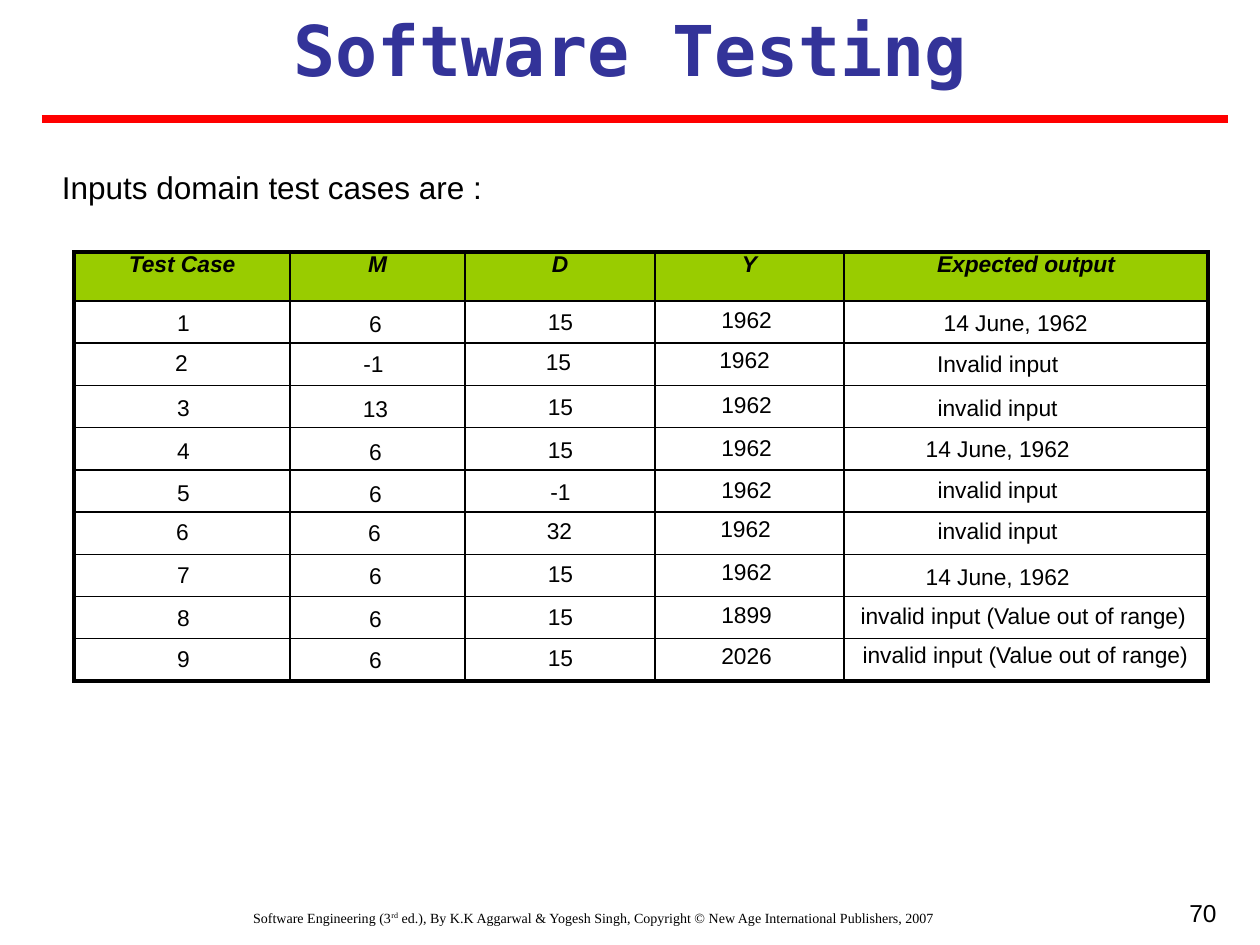
from dataclasses import dataclass

from lxml import etree
from pptx import Presentation
from pptx.dml.color import RGBColor
from pptx.enum.shapes import MSO_CONNECTOR
from pptx.enum.text import MSO_ANCHOR, MSO_AUTO_SIZE, PP_ALIGN
from pptx.oxml.ns import qn
from pptx.util import Emu, Pt

SCALE = 914400 / 126
LEFT, MID, RIGHT, FULL = (
    PP_ALIGN.LEFT, PP_ALIGN.CENTER, PP_ALIGN.RIGHT, PP_ALIGN.JUSTIFY)
TOP, LOW = MSO_ANCHOR.TOP, MSO_ANCHOR.BOTTOM
FIT = MSO_AUTO_SIZE.SHAPE_TO_FIT_TEXT
STRAIGHT = MSO_CONNECTOR.STRAIGHT

HEX = {"ink": "000000", "title": "333399", "rule": "FF0000", "head": "99CC00"}
SANS, MONO, SERIF = "Arial", "DejaVu Sans Mono", "Times New Roman"


@dataclass(frozen=True)
class Style:
    size: int
    face: str = SANS
    color: str = "ink"
    bold: bool = False
    slant: bool = False


@dataclass(frozen=True)
class Box:
    x: int
    y: int
    w: int
    h: int


@dataclass(frozen=True)
class Case:
    """Input values of one test and the top of its row of labels."""
    y: int
    shift: int
    values: tuple[str, ...]


@dataclass(frozen=True)
class Result:
    box: Box
    text: str


BODY = Style(13)
HEAD = Style(13, bold=True, slant=True)
LINE = 28

HEADS = ("Test Case", "M", "D", "Y", "Expected output")
WIDTHS = (216, 175, 190, 189, 364)
HEAD_H, ROWS_H = 49, 380

# Left edge and vertical offset of the labels in each input column
LANES = ((136, 0), (328, 1), (513, -1), (699, -3))
CASES = (
    Case(309, 0, ("1", "6", "15", "1962")),
    Case(349, -2, ("2", "-1", "15", "1962")),
    Case(394, 0, ("3", "13", "15", "1962")),
    Case(437, 0, ("4", "6", "15", "1962")),
    Case(479, 0, ("5", "6", "-1", "1962")),
    Case(518, -1, ("6", "6", "32", "1962")),
    Case(561, 0, ("7", "6", "15", "1962")),
    Case(604, 0, ("8", "6", "15", "1899")),
    Case(645, 0, ("9", "6", "15", "2026")),
)
RESULTS = (
    Result(Box(868, 309, 295, LINE), "14 June, 1962"),
    Result(Box(882, 350, 231, LINE), "Invalid input"),
    Result(Box(882, 394, 231, LINE), "invalid input"),
    Result(Box(882, 435, 231, LINE), "14 June, 1962"),
    Result(Box(882, 476, 231, LINE), "invalid input"),
    Result(Box(882, 517, 231, LINE), "invalid input"),
    Result(Box(882, 563, 231, LINE), "14 June, 1962"),
    Result(Box(850, 602, 346, LINE), "invalid input (Value out of range)"),
    Result(Box(853, 641, 344, LINE), "invalid input (Value out of range)"),
)


def px(n: int) -> Emu:
    return Emu(round(n * SCALE))


def tint(name: str) -> RGBColor:
    return RGBColor.from_string(HEX[name])


def write(para, text: str, style: Style, lift: int = 0) -> None:
    """Add one run; lift is its superscript height in percent."""
    run = para.add_run()
    run.text = text
    font = run.font
    font.size, font.name = Pt(style.size), style.face
    font.bold, font.italic = style.bold, style.slant
    font.color.rgb = tint(style.color)
    if lift:
        run._r.get_or_add_rPr().set("baseline", str(lift * 1000))


def frame(slide, box: Box, align, bare: bool = False, anchor=TOP):
    """Add a text box and return its paragraph; bare means no insets."""
    shape = slide.shapes.add_textbox(px(box.x), px(box.y), px(box.w), px(box.h))
    body = shape.text_frame
    body.word_wrap = True
    body.vertical_anchor = anchor
    if bare:
        body.margin_left = body.margin_right = 0
        body.margin_top = body.margin_bottom = 0
        body.auto_size = FIT
    para = body.paragraphs[0]
    para.alignment = align
    return para


def label(slide, box: Box, text: str) -> None:
    write(frame(slide, box, MID, bare=True), text, BODY)


def edge(cell, side: str, width: float) -> None:
    line = etree.Element(qn(f"a:ln{side}"), w=str(Pt(width)))
    fill = etree.SubElement(line, qn("a:solidFill"))
    etree.SubElement(fill, qn("a:srgbClr"), val=HEX["ink"])
    props = cell._tc.get_or_add_tcPr()
    props.insert("LRTB".index(side), line)


def grid(slide) -> None:
    count = len(CASES)
    shape = slide.shapes.add_table(
        count + 1, len(HEADS), px(74), px(252),
        px(sum(WIDTHS)), px(HEAD_H + ROWS_H))
    table = shape.table
    table.first_row = table.horz_banding = False
    for col, width in zip(table.columns, WIDTHS):
        col.width = px(width)
    for r, row in enumerate(table.rows):
        row.height = px(ROWS_H / count if r else HEAD_H)
        for c, cell in enumerate(row.cells):
            cell.margin_top = cell.margin_bottom = 0
            if r:
                cell.fill.background()
            else:
                cell.fill.solid()
                cell.fill.fore_color.rgb = tint("head")
                para = cell.text_frame.paragraphs[0]
                para.alignment = MID
                write(para, HEADS[c], HEAD)
            outer = {"L": c == 0, "R": c == len(HEADS) - 1,
                     "T": r == 0, "B": r == count}
            for side, rim in outer.items():
                edge(cell, side, 2.25 if rim else 1)


def rule(slide) -> None:
    line = slide.shapes.add_connector(
        STRAIGHT, px(42), px(119), px(1228), px(119))
    line.line.color.rgb = tint("rule")
    line.line.width = Pt(4.5)
    etree.SubElement(line._element.spPr, qn("a:effectLst"))


def main() -> None:
    deck = Presentation()
    deck.slide_width, deck.slide_height = px(1260), px(945)
    slide = deck.slides.add_slide(deck.slide_layouts[6])

    foot = frame(slide, Box(32, 903, 1124, 42), MID)
    small = Style(8, SERIF)
    write(foot, "Software Engineering (3", small)
    write(foot, "rd", small, lift=30)
    write(foot, " ed.), By K.K Aggarwal & Yogesh Singh, Copyright © "
          "New Age International Publishers, 2007", small)
    write(frame(slide, Box(935, 892, 294, 74), RIGHT), "70", Style(14))

    title = frame(slide, Box(42, 0, 1176, 97), MID, anchor=LOW)
    write(title, "Software Testing", Style(40, MONO, "title", bold=True))
    rule(slide)
    grid(slide)

    for case in CASES:
        for (x, drop), text in zip(LANES, case.values):
            label(slide, Box(x + case.shift, case.y + drop, 95, LINE), text)
    for item in RESULTS:
        label(slide, item.box, item.text)

    intro = frame(slide, Box(62, 168, 1169, 38), FULL, bare=True)
    write(intro, "Inputs domain test cases are :", Style(18))
    deck.save("out.pptx")


if __name__ == "__main__":
    main()
